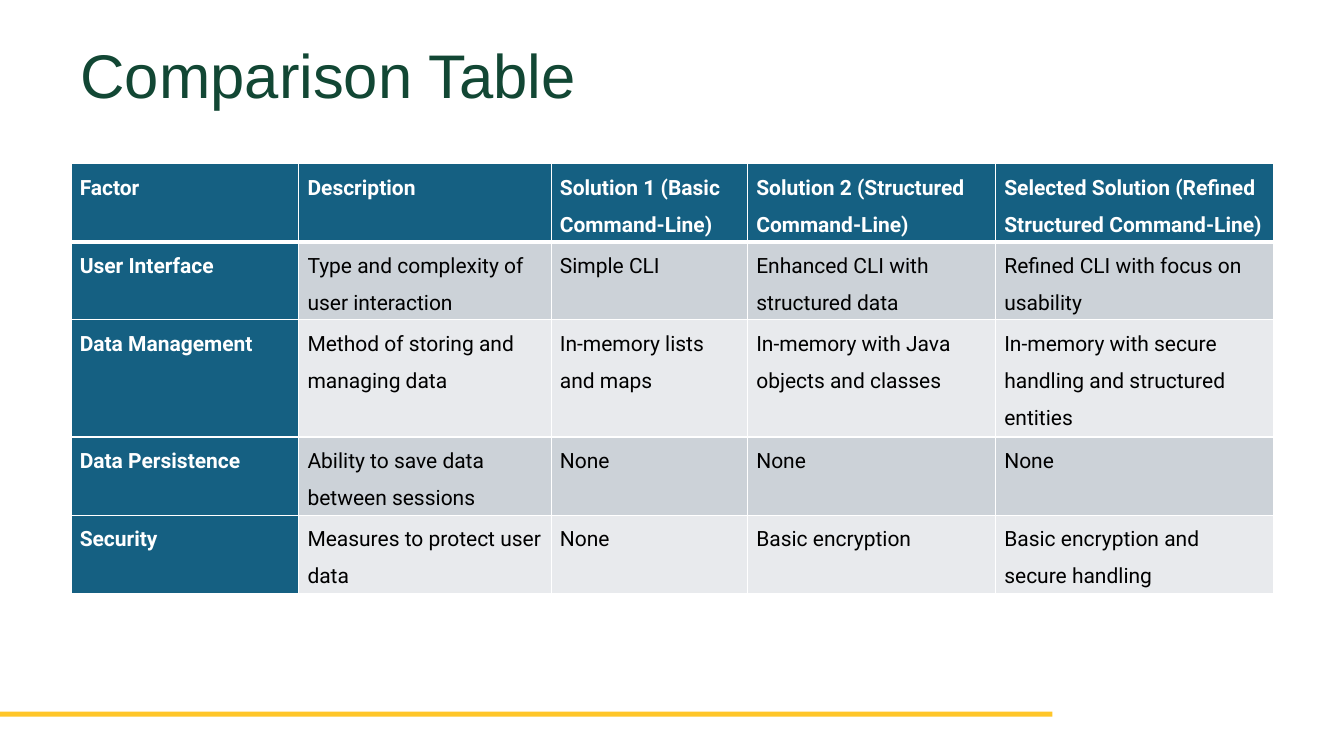
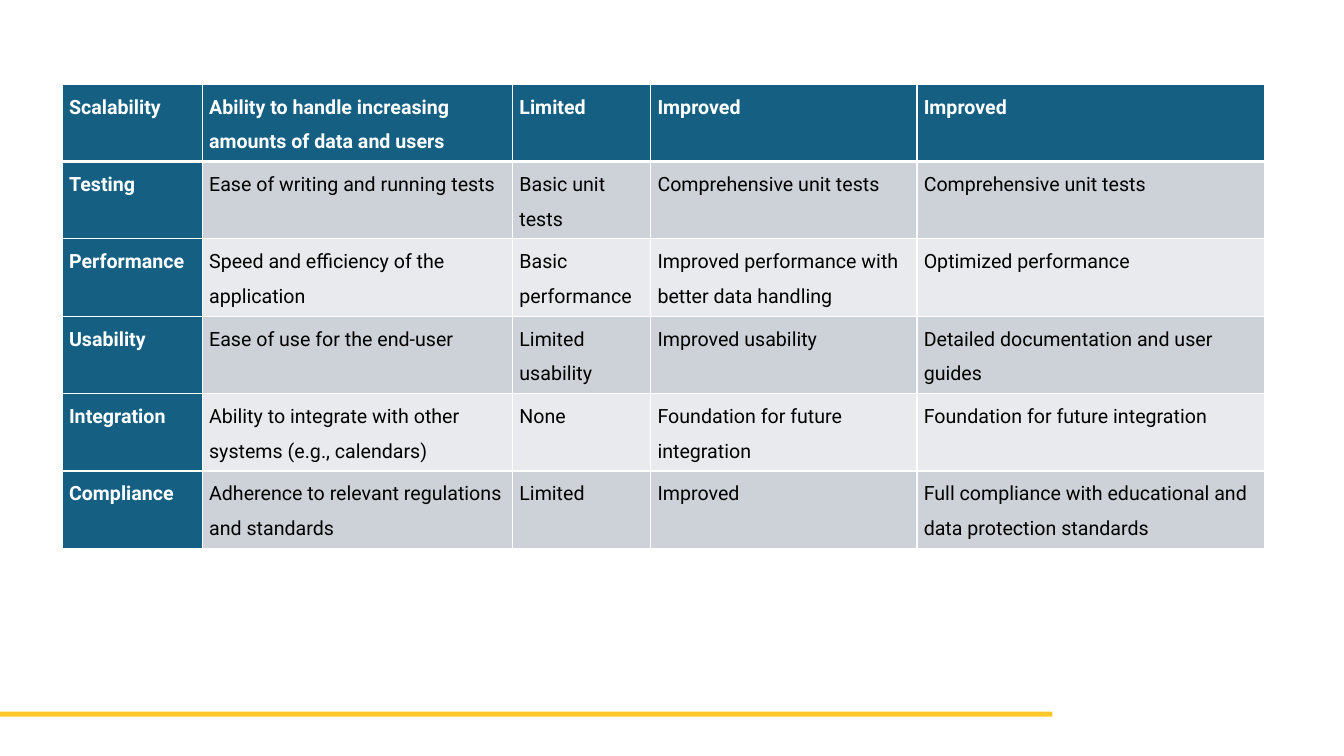
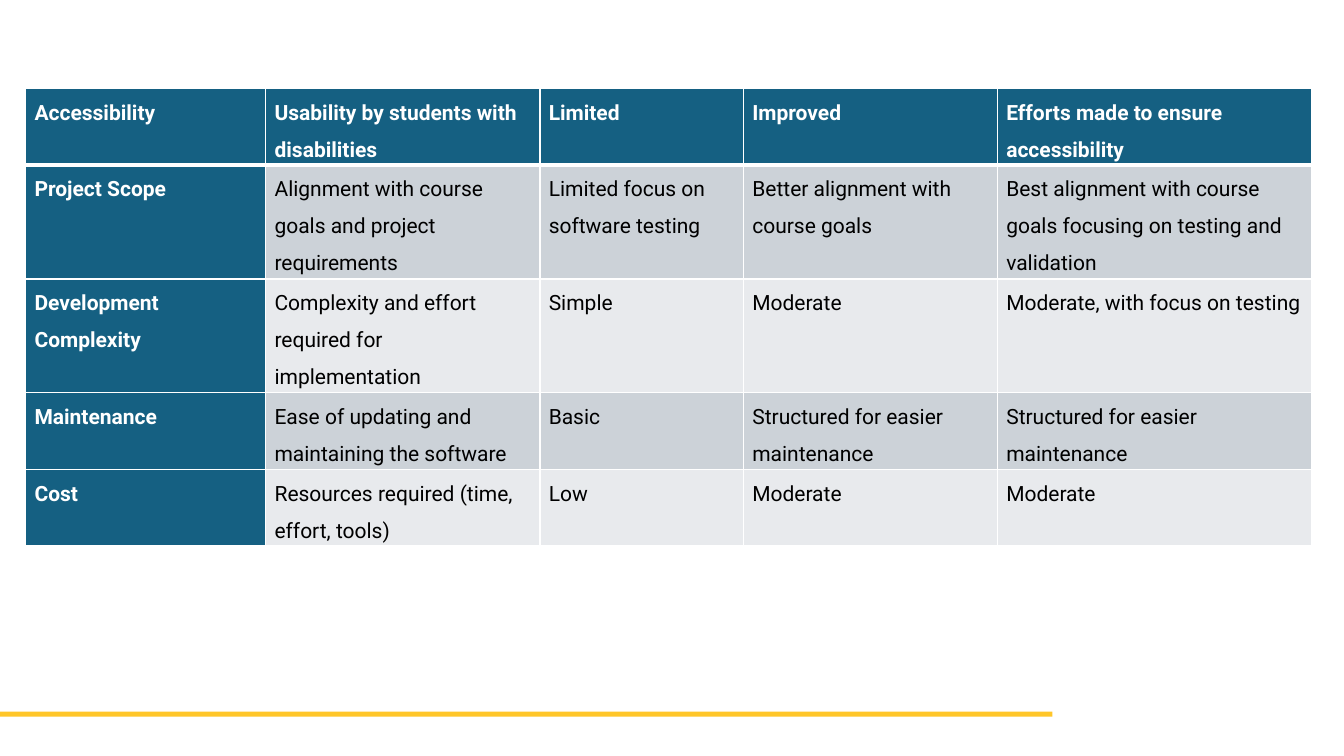
import dataclasses

import lxml.etree
import pptx
import pptx.dml.color
import pptx.enum.shapes
import pptx.oxml.ns
import pptx.presentation
import pptx.slide
import pptx.table
import pptx.util

Cm = pptx.util.Cm
Pt = pptx.util.Pt
RGB = pptx.dml.color.RGBColor
qn = pptx.oxml.ns.qn

WHITE = RGB(0xFF, 0xFF, 0xFF)
BLACK = RGB(0x00, 0x00, 0x00)
GREEN = RGB(0x12, 0x47, 0x34)
GOLD = RGB(0xFF, 0xC6, 0x29)
BLUE = RGB(0x15, 0x60, 0x82)
BANDS = (RGB(0xCC, 0xD2, 0xD8), RGB(0xE8, 0xEA, 0xED))

HEAD_FONT = "Arial"
BODY_FONT = "Roboto"
THIN, THICK = 1, 3


@dataclasses.dataclass
class Grid:
    """A table: lengths in centimetres, text size in points."""
    left: float
    top: float
    widths: list[float]
    heights: list[float]
    size: int
    inset: float
    rows: list[list[str]]
    title: str = ""


GRIDS = [
    Grid(
        left=1.79, top=4.12, size=15, inset=0.22,
        widths=[5.74, 6.36, 4.95, 6.25, 7.0],
        heights=[1.97, 1.97, 2.95, 1.97, 1.97],
        title="Comparison Table",
        rows=[
            ["Factor", "Description", "Solution 1 (Basic Command-Line)",
             "Solution 2 (Structured Command-Line)",
             "Selected Solution (Refined Structured Command-Line)"],
            ["User Interface", "Type and complexity of user interaction",
             "Simple CLI", "Enhanced CLI with structured data",
             "Refined CLI with focus on usability"],
            ["Data Management", "Method of storing and managing data",
             "In-memory lists and maps",
             "In-memory with Java objects and classes",
             "In-memory with secure handling and structured entities"],
            ["Data Persistence", "Ability to save data between sessions",
             "None", "None", "None"],
            ["Security", "Measures to protect user data", "None",
             "Basic encryption", "Basic encryption and secure handling"],
        ],
    ),
    Grid(
        left=1.57, top=2.12, size=14, inset=0.17,
        widths=[3.53, 7.82, 3.48, 6.71, 8.76],
        heights=[1.95] * 6,
        rows=[
            ["Scalability",
             "Ability to handle increasing amounts of data and users",
             "Limited", "Improved", "Improved"],
            ["Testing", "Ease of writing and running tests",
             "Basic unit tests", "Comprehensive unit tests",
             "Comprehensive unit tests"],
            ["Performance", "Speed and efficiency of the application",
             "Basic performance",
             "Improved performance with better data handling",
             "Optimized performance"],
            ["Usability", "Ease of use for the end-user",
             "Limited usability", "Improved usability",
             "Detailed documentation and user guides"],
            ["Integration",
             "Ability to integrate with other systems (e.g., calendars)",
             "None", "Foundation for future integration",
             "Foundation for future integration"],
            ["Compliance",
             "Adherence to relevant regulations and standards",
             "Limited", "Improved",
             "Full compliance with educational and data protection standards"],
        ],
    ),
    Grid(
        left=0.65, top=2.24, size=15, inset=0.22,
        widths=[6.05, 6.91, 5.13, 6.4, 7.92],
        heights=[1.92, 2.87, 2.87, 1.93, 1.93],
        rows=[
            ["Accessibility", "Usability by students with disabilities",
             "Limited", "Improved", "Efforts made to ensure accessibility"],
            ["Project Scope",
             "Alignment with course goals and project requirements",
             "Limited focus on software testing",
             "Better alignment with course goals",
             "Best alignment with course goals focusing on testing"
             " and validation"],
            ["Development Complexity",
             "Complexity and effort required for implementation",
             "Simple", "Moderate", "Moderate, with focus on testing"],
            ["Maintenance", "Ease of updating and maintaining the software",
             "Basic", "Structured for easier maintenance",
             "Structured for easier maintenance"],
            ["Cost", "Resources required (time, effort, tools)",
             "Low", "Moderate", "Moderate"],
        ],
    ),
]


def add_bar(slide: pptx.slide.Slide) -> None:
    """Draw the gold footer bar."""
    bar = slide.shapes.add_shape(
        pptx.enum.shapes.MSO_SHAPE.RECTANGLE,
        Cm(0), Cm(17.93), Cm(26.52), Cm(0.13))
    bar.shadow.inherit = False
    bar.fill.solid()
    bar.fill.fore_color.rgb = GOLD
    bar.line.fill.background()


def add_title(slide: pptx.slide.Slide, text: str) -> None:
    box = slide.shapes.add_textbox(Cm(1.78), Cm(0.86), Cm(18.82), Cm(1.96))
    frame = box.text_frame
    frame.word_wrap = True
    frame.margin_top = Cm(0.28)
    line = frame.paragraphs[0]
    line.text = text
    line.line_spacing = 0.9
    line.font.name = HEAD_FONT
    line.font.size = Pt(44)
    line.font.color.rgb = GREEN


def set_edges(cell: pptx.table._Cell, row: int) -> None:
    """Rule the cell in white, with a thick line under the header row."""
    props = cell._tc.get_or_add_tcPr()
    edges = {
        "a:lnL": THIN,
        "a:lnR": THIN,
        "a:lnT": THICK if row == 1 else THIN,
        "a:lnB": THICK if row == 0 else THIN,
    }
    for tag, width in edges.items():
        edge = lxml.etree.SubElement(props, qn(tag), w=str(int(Pt(width))))
        fill = lxml.etree.SubElement(edge, qn("a:solidFill"))
        lxml.etree.SubElement(fill, qn("a:srgbClr"), val=str(WHITE))


def fill_cell(cell: pptx.table._Cell, grid: Grid, row: int, col: int) -> None:
    head = row == 0 or col == 0
    set_edges(cell, row)
    cell.fill.solid()
    cell.fill.fore_color.rgb = BLUE if head else BANDS[(row - 1) % 2]
    cell.margin_left = cell.margin_right = Cm(grid.inset)
    cell.margin_top = cell.margin_bottom = Cm(0)
    line = cell.text_frame.paragraphs[0]
    line.text = grid.rows[row][col]
    line.line_spacing = 1.5
    line.space_after = Pt(12)
    line.font.name = BODY_FONT
    line.font.size = Pt(grid.size)
    line.font.bold = head
    line.font.color.rgb = WHITE if head else BLACK


def add_grid(slide: pptx.slide.Slide, grid: Grid) -> None:
    table = slide.shapes.add_table(
        len(grid.heights), len(grid.widths), Cm(grid.left), Cm(grid.top),
        Cm(sum(grid.widths)), Cm(sum(grid.heights))).table
    for column, width in zip(table.columns, grid.widths):
        column.width = Cm(width)
    for band, height in zip(table.rows, grid.heights):
        band.height = Cm(height)
    for row, texts in enumerate(grid.rows):
        for col in range(len(texts)):
            fill_cell(table.cell(row, col), grid, row, col)


def add_slide(deck: pptx.presentation.Presentation, grid: Grid) -> None:
    slide = deck.slides.add_slide(deck.slide_layouts[6])
    add_bar(slide)
    add_grid(slide, grid)
    if grid.title:
        add_title(slide, grid.title)


def main() -> None:
    deck = pptx.Presentation()
    deck.slide_width = Cm(33.87)
    deck.slide_height = Cm(19.05)
    for grid in GRIDS:
        add_slide(deck, grid)
    deck.save("out.pptx")


if __name__ == "__main__":
    main()
